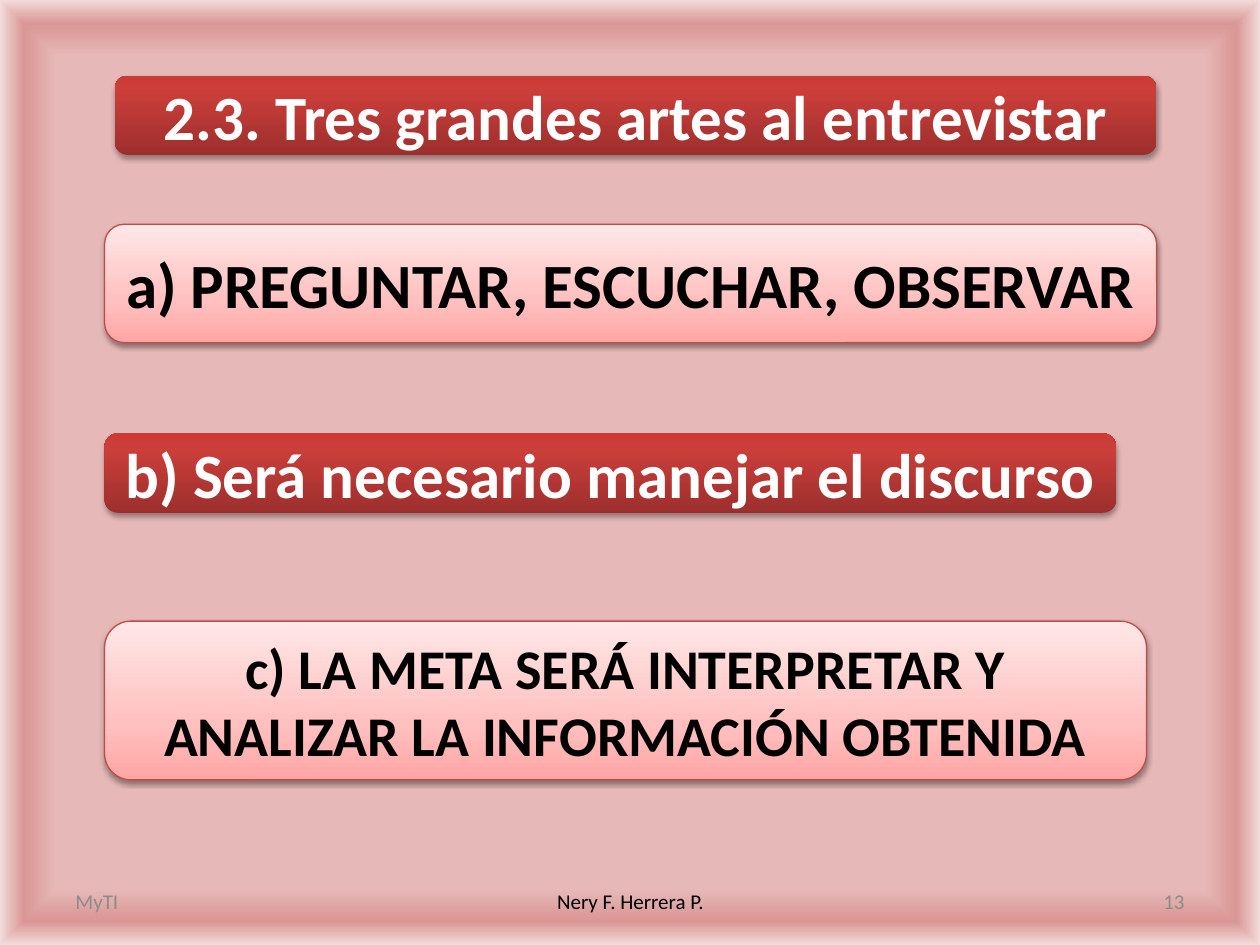
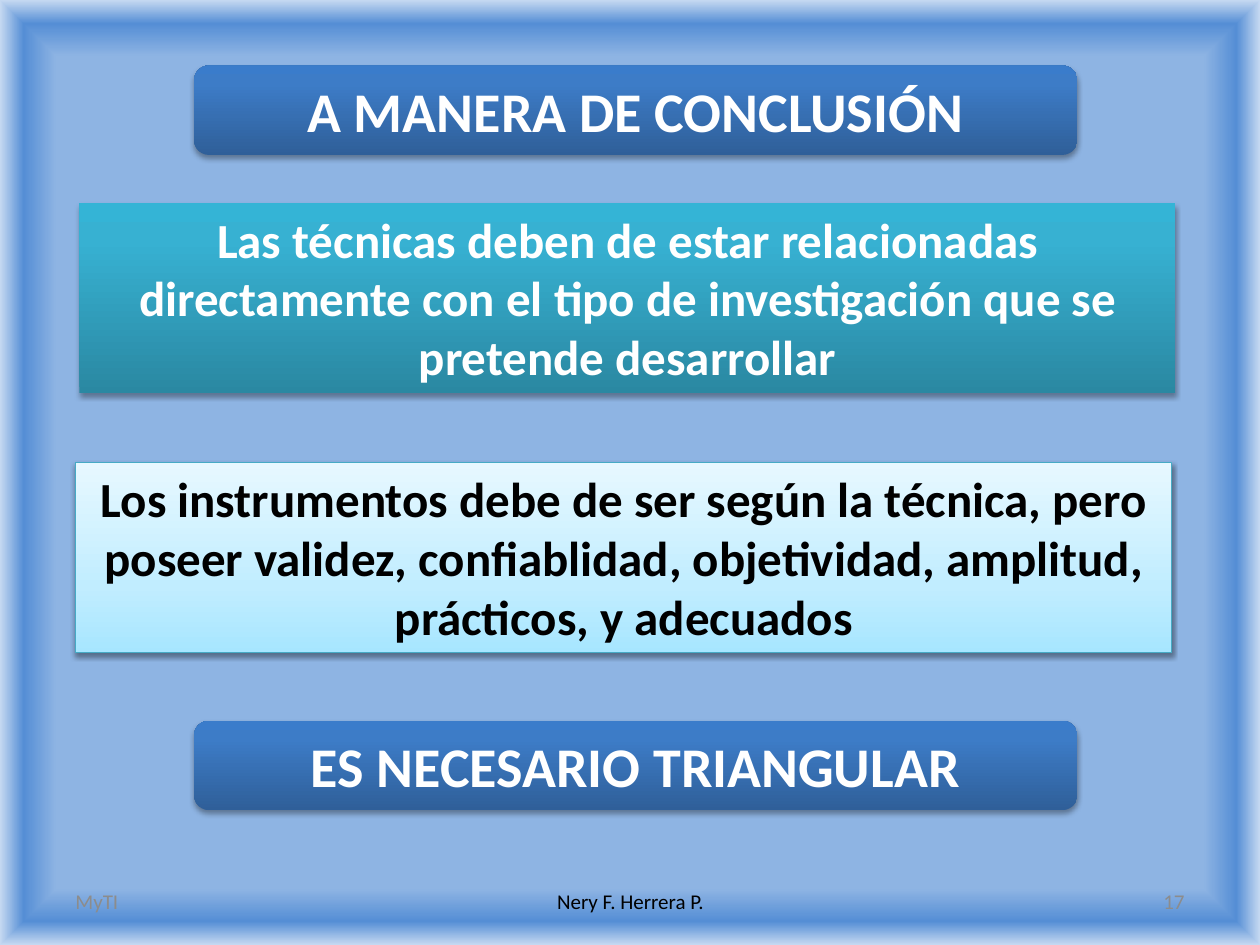
import dataclasses

import lxml.etree
import pptx
import pptx.dml.color
import pptx.enum.shapes
import pptx.enum.text
import pptx.oxml.ns
import pptx.util

COLUMNS, ROWS = 100, 75
CELL = pptx.util.Inches(0.1)
FONT = "Calibri"
BLACK, WHITE, GREY = "000000", "FFFFFF", "8C8C8C"
ALIGN = pptx.enum.text.PP_ALIGN
ANCHOR = pptx.enum.text.MSO_ANCHOR
SHAPE = pptx.enum.shapes.MSO_SHAPE


@dataclasses.dataclass
class Box:
    """A rectangle measured in grid columns and rows."""
    left: float
    top: float
    width: float
    height: float

    def inner(self, left, top, width, height):
        """Return a box placed relative to this one."""
        return Box(self.left + left, self.top + top, width, height)

    def lengths(self):
        """Return the four lengths in slide units."""
        return [round(value * CELL) for value in dataclasses.astuple(self)]


@dataclasses.dataclass
class Style:
    """The look of a panel: gradient, outline, text colour and shadow."""
    stops: tuple
    ink: str
    line: str = ""
    shadow_alpha: int = 35
    shadow_distance: float = 1.8


def dark(low, middle, high):
    """Return a dark panel style without an outline."""
    return Style(((0, low), (80, middle), (100, high)), WHITE)


def light(low, middle, high, line):
    """Return a light panel style with a thin outline."""
    return Style(((0, low), (35, middle), (100, high)), BLACK, line, 38, 1.6)


DARK_RED = dark("9C2F2D", "CB3E3A", "CE3B37")
LIGHT_RED = light("FFA6A5", "FFC0BF", "FFE7E7", "BF4C48")
DARK_BLUE = dark("2F5F99", "3D7CC7", "3A7CCB")
DARK_TEAL = dark("2A88A2", "37B1D2", "34B4D6")
LIGHT_TEAL = light("A7E6FF", "C1EDFF", "E7F8FF", "46AAC5")
RED_FRAME = ((88, "E6B9B8"), (95, "D99694"), (100, "F2DCDB"))
BLUE_FRAME = ((88, "8EB4E3"), (95, "558ED5"), (100, "C6D9F1"))


def color(value):
    """Turn a hex string into a colour."""
    return pptx.dml.color.RGBColor.from_string(value)


def add_node(parent, tag, **attributes):
    """Append a DrawingML element with the given attributes."""
    node = lxml.etree.SubElement(parent, pptx.oxml.ns.qn("a:" + tag))
    for name, value in attributes.items():
        node.set(name, str(value))
    return node


def paint_gradient(fill, owner, stops, framed=False):
    """Give a fill a vertical gradient, or one that follows the edges."""
    fill.solid()
    solid = next(owner.iter(pptx.oxml.ns.qn("a:solidFill")))
    gradient = lxml.etree.Element(pptx.oxml.ns.qn("a:gradFill"), rotWithShape="1")
    stop_list = add_node(gradient, "gsLst")
    for position, value in stops:
        stop = add_node(stop_list, "gs", pos=position * 1000)
        add_node(stop, "srgbClr", val=value)
    if framed:
        route = add_node(gradient, "path", path="shape")
        add_node(route, "fillToRect", l=50000, t=50000, r=50000, b=50000)
    else:
        add_node(gradient, "lin", ang=270 * 60000, scaled=0)
    solid.getparent().replace(solid, gradient)


def cast_shadow(shape, style):
    """Drop a soft black shadow below a shape."""
    shape.shadow.inherit = False
    effects = shape._element.spPr.find(pptx.oxml.ns.qn("a:effectLst"))
    shadow = add_node(effects, "outerShdw", blurRad=pptx.util.Pt(3.1),
                      dist=pptx.util.Pt(style.shadow_distance),
                      dir=90 * 60000, rotWithShape=0)
    add_node(add_node(shadow, "srgbClr", val=BLACK), "alpha", val=style.shadow_alpha * 1000)


def write(shape, text, size, ink, bold=False, align=ALIGN.CENTER, anchor=ANCHOR.MIDDLE):
    """Put formatted text into a shape."""
    frame = shape.text_frame
    frame.word_wrap = True
    frame.vertical_anchor = anchor
    para = frame.paragraphs[0]
    para.alignment = align
    span = para.add_run()
    span.text = text
    span.font.name = FONT
    span.font.size = pptx.util.Pt(size)
    span.font.bold = bold
    span.font.color.rgb = color(ink)


def add_panel(page, box, text, size, style, outline=SHAPE.ROUNDED_RECTANGLE, anchor=ANCHOR.MIDDLE):
    """Draw a shaded panel with bold text."""
    panel = page.shapes.add_shape(outline, *box.lengths())
    paint_gradient(panel.fill, panel._element.spPr, style.stops)
    if style.line:
        panel.line.color.rgb = color(style.line)
        panel.line.width = pptx.util.Pt(0.75)
    else:
        panel.line.fill.background()
    cast_shadow(panel, style)
    write(panel, text, size, style.ink, bold=True, anchor=anchor)


def add_footer(page, box, number):
    """Write the course, the author and the page number in the footer band."""
    labels = (
        (0, 23.3, "MyTI", GREY, ALIGN.LEFT),
        (29.2, 31.7, "Nery F. Herrera P.", BLACK, ALIGN.CENTER),
        (box.width - 23.3, 23.3, str(number), GREY, ALIGN.RIGHT),
    )
    for left, width, text, ink, align in labels:
        place = box.inner(left, 0, width, box.height)
        label = page.shapes.add_textbox(*place.lengths())
        write(label, text, 12, ink, align=align)


def add_page(deck, frame_stops, number):
    """Add a blank page with the framed background and the footer."""
    page = deck.slides.add_slide(deck.slide_layouts[6])
    background = page.background
    paint_gradient(background.fill, page._element.cSld, frame_stops, framed=True)
    add_footer(page, Box(5, 69.5, 90, 4), number)
    return page


def add_arts(page, box):
    """Stack the heading and the three arts of interviewing."""
    panels = (
        (0.8, 0, 82.7, 6.3, "2.3. Tres grandes artes al entrevistar", 36, DARK_RED),
        (0, 11.8, 83.5, 9.4, "a) PREGUNTAR, ESCUCHAR, OBSERVAR", 36, LIGHT_RED),
        (0, 28.4, 80.3, 6.3, "b) Será necesario manejar el discurso", 36, DARK_RED),
        (0, 43.3, 82.7, 12.6,
         "c) LA META SERÁ INTERPRETAR Y ANALIZAR LA INFORMACIÓN OBTENIDA", 32, LIGHT_RED),
    )
    for *place, text, size, style in panels:
        add_panel(page, box.inner(*place), text, size, style)


def add_conclusion(page, box):
    """Set two statements between a heading and a closing line."""
    banners = ((0, "A MANERA DE CONCLUSIÓN"), (52, "ES NECESARIO TRIANGULAR"))
    for top, text in banners:
        add_panel(page, box.inner(9.4, top, 70.1, 7.1), text, 32, DARK_BLUE)
    statements = (
        (0.3, 10.9, DARK_TEAL, "Las técnicas deben de estar relacionadas directamente "
         "con el tipo de investigación que se pretende desarrollar"),
        (0, 31.5, LIGHT_TEAL, "Los instrumentos debe de ser según la técnica, pero poseer "
         "validez, confiablidad, objetividad, amplitud, prácticos, y adecuados"),
    )
    for left, top, style, text in statements:
        add_panel(page, box.inner(left, top, 87, 15.1), text, 28, style,
                  outline=SHAPE.RECTANGLE, anchor=ANCHOR.TOP)


def main():
    """Build and save the deck."""
    deck = pptx.Presentation()
    deck.slide_width = COLUMNS * CELL
    deck.slide_height = ROWS * CELL
    add_arts(add_page(deck, RED_FRAME, 13), Box(8.3, 6, 83.5, 55.9))
    add_conclusion(add_page(deck, BLUE_FRAME, 17), Box(6, 5.2, 87.3, 59.1))
    deck.save("out.pptx")


if __name__ == "__main__":
    main()
